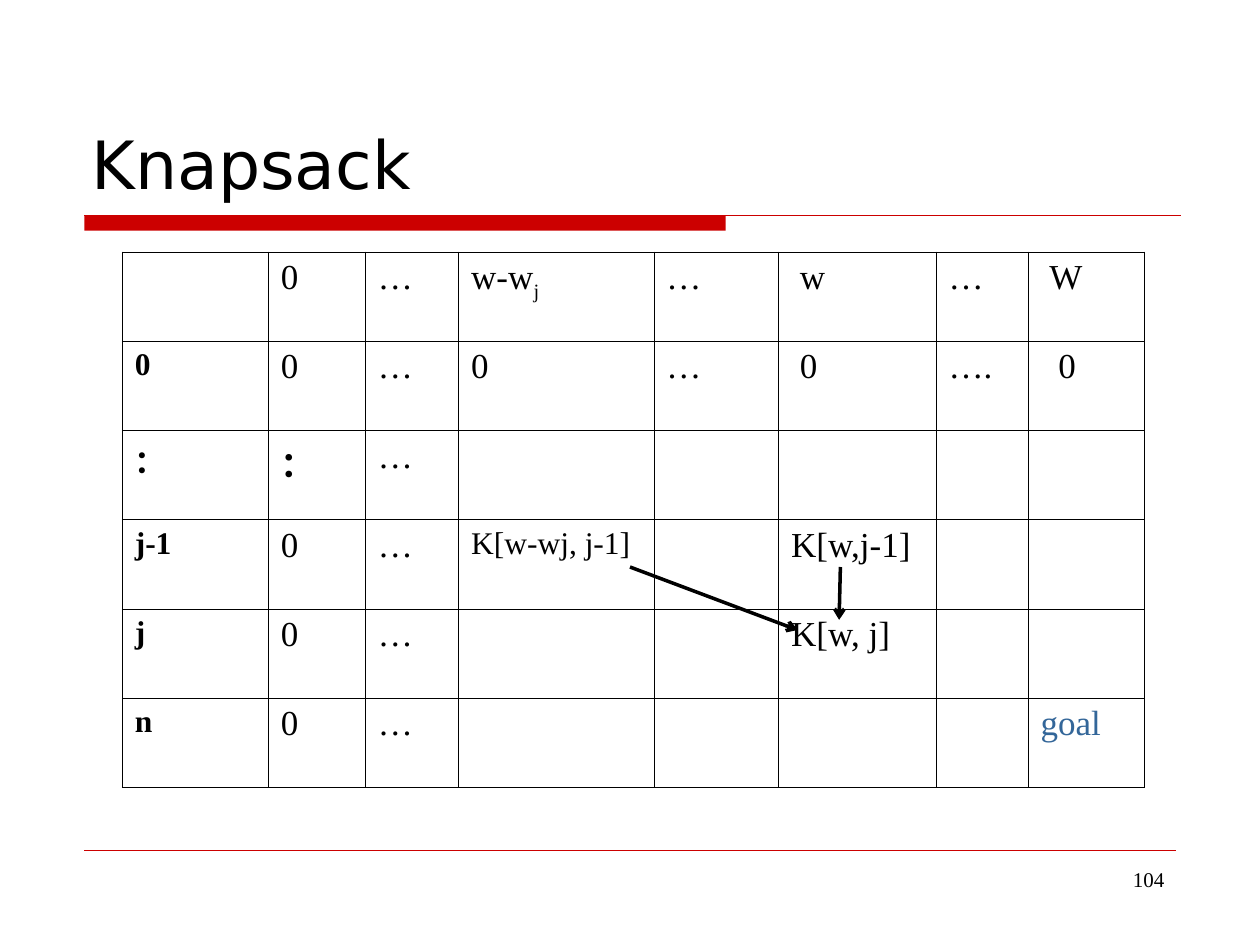
import pptx
import pptx.util
import pptx.dml.color
import pptx.enum.shapes
import pptx.enum.text
import pptx.oxml.ns
from lxml import etree

Inches, Pt = pptx.util.Inches, pptx.util.Pt
qn = pptx.oxml.ns.qn

# Content
TITLE = "Knapsack"
PAGE_NUMBER = "104"
ROWS = [
    ["", "0", "…", "w-w_j", "…", "w", "…", "W"],
    ["0", "0", "…", "0", "…", "0", "….", "0"],
    ["：", "：", "…", "", "", "", "", ""],
    ["j-1", "0", "…", "K[w-wj, j-1]", "", "K[w,j-1]", "", ""],
    ["j", "0", "…", "", "", "K[w, j]", "", ""],
    ["n", "0", "…", "", "", "", "", "goal"],
]
COLUMN_WIDTHS = [1.16, 0.77, 0.74, 1.55, 0.99, 1.25, 0.73, 0.92]
ROW_HEIGHT = 4.25 / len(ROWS)
EXTRA_INDENT = {(0, 5): 0.07, (0, 7): 0.07, (1, 5): 0.07, (1, 7): 0.14}
ARROWS = [((6.67, 4.5), (6.66, 4.92)), ((5, 4.5), (6.33, 5))]

COLORS = {"text": "000000", "red": "CC0000", "goal": "336699"}
SERIF, SANS = "Times New Roman", "DejaVu Sans"


def rgb(name):
    return pptx.dml.color.RGBColor.from_string(COLORS[name])


def add_run(para, text, size, font=SERIF, color="text", bold=False):
    span = para.add_run()
    span.text = text
    span.font.size = Pt(size)
    span.font.name = font
    span.font.bold = bold
    span.font.color.rgb = rgb(color)
    return span


def add_text(page, place, text, size, font, anchor, align):
    box = page.shapes.add_textbox(*map(Inches, place))
    frame = box.text_frame
    frame.word_wrap = True
    frame.vertical_anchor = anchor
    para = frame.paragraphs[0]
    para.alignment = align
    add_run(para, text, size, font)


def add_line(page, start, end, color, width, arrow=False):
    line = page.shapes.add_connector(
        pptx.enum.shapes.MSO_CONNECTOR.STRAIGHT, *map(Inches, start + end))
    line.line.color.rgb = rgb(color)
    line.line.width = Pt(width)
    if arrow:
        etree.SubElement(line.line._get_or_add_ln(), qn("a:tailEnd"), type="arrow")
    etree.SubElement(line._element.spPr, qn("a:effectLst"))


def add_borders(cell, width=0.45):
    properties = cell._tc.get_or_add_tcPr()
    for side in ("lnL", "lnR", "lnT", "lnB"):
        border = etree.SubElement(properties, qn("a:" + side), w=str(Pt(width)))
        fill = etree.SubElement(border, qn("a:solidFill"))
        etree.SubElement(fill, qn("a:srgbClr"), val=COLORS["text"])


def fill_cell(cell, row, column, text):
    add_borders(cell)
    cell.fill.background()
    cell.margin_left = Inches(0.1 + EXTRA_INDENT.get((row, column), 0))
    if not text:
        return
    small = column == 0 or text.startswith("K[w-")
    color = "goal" if text == "goal" else "text"
    bold = column == 0 or text == "："
    para = cell.text_frame.paragraphs[0]
    base, _, subscript = text.partition("_")
    add_run(para, base, 18 if small else 20, color=color, bold=bold)
    if subscript:
        span = add_run(para, subscript, 20)
        span.font._element.set("baseline", "-25000")


def main():
    deck = pptx.Presentation()
    deck.slide_width, deck.slide_height = Inches(10), Inches(7.5)
    page = deck.slides.add_slide(deck.slide_layouts[6])
    anchors, aligns = pptx.enum.text.MSO_ANCHOR, pptx.enum.text.PP_ALIGN

    # Red title bar and the two rules
    bar = page.shapes.add_shape(
        pptx.enum.shapes.MSO_SHAPE.RECTANGLE, *map(Inches, (0.67, 1.71, 5.09, 0.12)))
    bar.shadow.inherit = False
    bar.fill.solid()
    bar.fill.fore_color.rgb = rgb("red")
    bar.line.fill.background()
    add_line(page, (0.67, 1.71), (9.37, 1.71), "red", 0.75)
    add_line(page, (0.67, 6.75), (9.33, 6.75), "red", 0.25)

    # Page number and title
    add_text(page, (7.17, 6.83, 2.17, 0.52), PAGE_NUMBER, 12, SERIF,
             anchors.TOP, aligns.RIGHT)
    add_text(page, (0.63, 0.33, 8.75, 1.33), TITLE, 38, SANS,
             anchors.BOTTOM, aligns.LEFT)

    # Dynamic programming table
    table = page.shapes.add_table(
        len(ROWS), len(COLUMN_WIDTHS), Inches(0.97), Inches(2),
        Inches(sum(COLUMN_WIDTHS)), Inches(ROW_HEIGHT * len(ROWS))).table
    table.first_row = table.horz_banding = False
    for column, width in zip(table.columns, COLUMN_WIDTHS):
        column.width = Inches(width)
    for row, texts in enumerate(ROWS):
        table.rows[row].height = Inches(ROW_HEIGHT)
        for column, text in enumerate(texts):
            fill_cell(table.cell(row, column), row, column, text)

    # Arrows into K[w, j]
    for start, end in ARROWS:
        add_line(page, start, end, "text", 2, arrow=True)

    deck.save("out.pptx")


if __name__ == "__main__":
    main()
